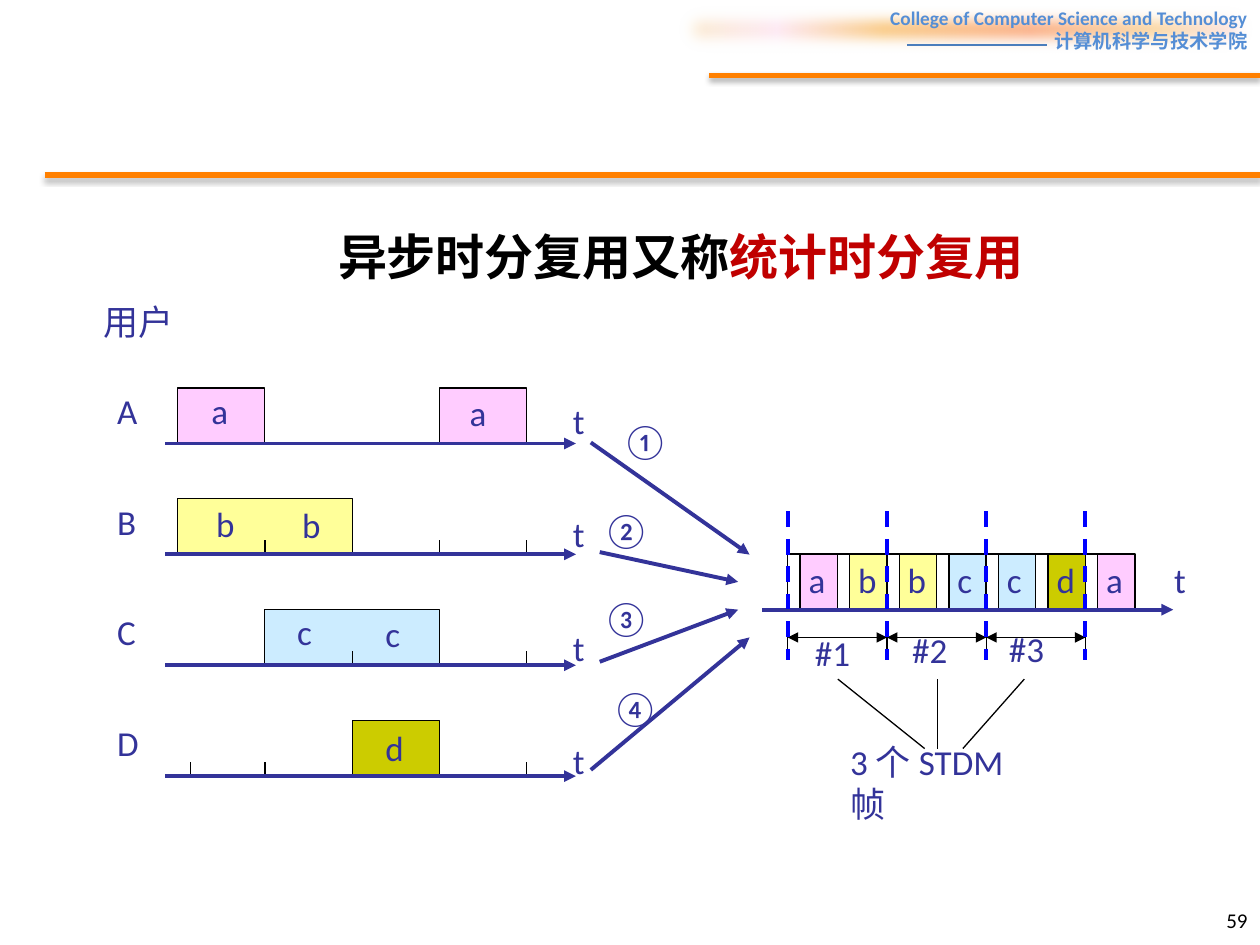
from lxml import etree
from pptx import Presentation
from pptx import util as u
from pptx.dml import color as c
from pptx.enum import dml, shapes, text
from pptx.oxml import ns, parse_xml

Cm, Pt = u.Cm, u.Pt
rgb = c.RGBColor.from_string
NAVY, BLACK, BLUE, ORANGE, SKY = "333399", "000000", "0000FF", "FF8000", "558ED5"
FILLS = {"a": "FFCCFF", "b": "FFFF99", "c": "CCECFF", "d": "CCCC00"}
LETTER_WIDTHS = {"a": 0.91, "b": 0.91, "c": 0.86, "d": 0.91}
XMLNS = 'xmlns:a="http://schemas.openxmlformats.org/drawingml/2006/main"'

deck = Presentation()
deck.slide_width, deck.slide_height = Cm(25.4), Cm(19.05)
page = deck.slides.add_slide(deck.slide_layouts[6])


def add_text(x, y, width, height, paragraphs, size=20, bold=None, font="Calibri",
             align=text.PP_ALIGN.LEFT, anchor=text.MSO_ANCHOR.TOP, wrap=False):
    """Each paragraph is a list of (words, colour) spans."""
    box = page.shapes.add_textbox(Cm(x), Cm(y), Cm(width), Cm(height))
    frame = box.text_frame
    for name, value in {"word_wrap": wrap, "vertical_anchor": anchor}.items():
        setattr(frame, name, value)
    for number, spans in enumerate(paragraphs):
        para = frame.add_paragraph() if number else frame.paragraphs[0]
        para.alignment = align
        for words, colour in spans:
            span = para.add_run()
            span.text = words
            for name, value in {"size": Pt(size), "bold": bold, "name": font}.items():
                setattr(span.font, name, value)
            span.font.color.rgb = rgb(colour)
            east = etree.SubElement(span.font._element, ns.qn("a:ea"))
            east.set("typeface", font)


def add_line(x1, y1, x2, y2, colour=BLACK, width=0.75, arrows=(), dash=None, shadow=""):
    """Arrows names the ends with a head: headEnd, tailEnd or both."""
    line = page.shapes.add_connector(
        shapes.MSO_CONNECTOR.STRAIGHT, Cm(x1), Cm(y1), Cm(x2), Cm(y2))
    line.line.color.rgb = rgb(colour)
    for name, value in {"width": Pt(width), "dash_style": dash}.items():
        setattr(line.line, name, value)
    for end in arrows:
        etree.SubElement(line.line._get_or_add_ln(), ns.qn("a:" + end)).set("type", "triangle")
    line._element.spPr.append(parse_xml(f"<a:effectLst {XMLNS}>{shadow}</a:effectLst>"))


# Title
add_text(2.9, 3.94, 21.64, 1.93,
         [[("异步时分复用又称", BLACK), ("统计时分复用", "C00000")]],
         size=28, bold=True, font="Noto Sans CJK SC", align=text.PP_ALIGN.CENTER,
         anchor=text.MSO_ANCHOR.BOTTOM, wrap=True)

# Grids: user slots on the left, output stream on the right
SLOT_X, SLOT, ROW_Y, ROW, TALL = 3.58, 1.76, 8.94, 2.235, 1.12
STREAM_X, STREAM_Y, STEP, HEADER = 15.88, 12.29, 1.0, 0.25
STREAM = "abbccda"

# Blocks as (left, base, width, fill), open at the base
blocks = []
for row, first, count, letter in ((0, 0, 1, "a"), (0, 3, 1, "a"), (1, 0, 2, "b"),
                                  (2, 1, 2, "c"), (3, 2, 1, "d")):
    blocks.append((SLOT_X + first * SLOT, ROW_Y + row * ROW, count * SLOT, FILLS[letter]))
for place, letter in enumerate(STREAM):
    left = STREAM_X + place * STEP
    blocks.append((left + HEADER, STREAM_Y, STEP - HEADER, FILLS[letter]))
    blocks.append((left, STREAM_Y, HEADER, None))
for left, base, width, fill in blocks:
    right, top = Cm(left + width), Cm(base - TALL)
    outline = page.shapes.build_freeform(Cm(left), Cm(base))
    outline.add_line_segments([(Cm(left), top), (right, top), (right, Cm(base))], close=False)
    block = outline.convert_to_shape()
    block.shadow.inherit = False
    if fill:
        block.fill.solid()
        block.fill.fore_color.rgb = rgb(fill)
    else:
        block.fill.background()
    block.line.color.rgb = rgb(BLACK)
    block.line.width = Pt(0.75)

# Ticks on the axes
ticks = [(SLOT_X + slot * SLOT, ROW_Y + row * ROW)
         for row, slot in ((1, 1), (1, 3), (1, 4), (2, 2), (2, 4), (3, 1), (3, 4))]
ticks += [(3.84, ROW_Y + 3 * ROW), (18.13, STREAM_Y), (18.88, STREAM_Y), (21.88, STREAM_Y)]
for x, base in ticks:
    add_line(x, base - 0.28, x, base)

# User names, time axes and their labels
add_text(1.83, 5.94, 1.93, 1.09, [[("用户", NAVY)]])
for row, user in enumerate("ABCD"):
    base = ROW_Y + row * ROW
    add_text(2.11, base - 1.22, 1.0, 1.09, [[(user, NAVY)]])
    add_text(11.3, 7.92 + row * 2.29, 0.71, 1.09, [[("t", NAVY)]])
    add_line(3.33, base, 11.61, base, NAVY, 2.25, ["tailEnd"])
add_text(23.42, 11.13, 0.71, 1.09, [[("t", NAVY)]])
add_line(15.37, STREAM_Y, 23.65, STREAM_Y, NAVY, 2.25, ["tailEnd"])

# Letters in the blocks
letters = [("a", 4.01, 7.72), ("a", 9.22, 7.77), ("b", 4.11, 10.01), ("b", 5.84, 10.03),
           ("c", 5.74, 12.19), ("c", 7.52, 12.22), ("d", 7.52, 14.53)]
letters += [(letter, 16.05 + place * STEP, 11.13) for place, letter in enumerate(STREAM)]
for letter, x, y in letters:
    add_text(x, y, LETTER_WIDTHS[letter], 1.09, [[(letter, NAVY)]])

# Numbered arrows into the multiplexed stream
for number, x, y, ends in (("①", 12.29, 8.33, (11.91, 8.92, 15.11, 11.18)),
                           ("②", 11.91, 10.13, (12.09, 11.13, 14.88, 11.73)),
                           ("③", 11.91, 11.91, (12.09, 13.34, 14.88, 12.29)),
                           ("④", 12.09, 13.72, (11.91, 15.52, 15.11, 12.85))):
    add_line(*ends, NAVY, 2.25, ["tailEnd"])
    add_text(x, y, 1.22, 1.09, [[(number, NAVY)]])

# Frame spans, labels and pointers
for name, x, y, pointer in (("#1", 16.18, 12.6, (16.89, 18.64)),
                            ("#2", 18.14, 12.55, (18.9, 18.9)),
                            ("#3", 20.09, 12.52, (20.65, 19.41))):
    left = STREAM_X + 2 * STEP * (int(name[1]) - 1)
    add_line(left, 12.85, left + 2 * STEP, 12.85, arrows=["headEnd", "tailEnd"])
    add_text(x, y, 1.3, 1.09, [[(name, NAVY)]])
    add_line(pointer[0], 13.69, pointer[1], 15.09)
add_text(16.89, 14.81, 4.3, 1.9, [[("3 个 STDM 帧", NAVY)]], wrap=True)

# Frame borders
for border in range(4):
    x = STREAM_X + 2 * STEP * border
    add_line(x, 12.57, x, 13.13)
    add_line(x, 10.31, x, 13.31, BLUE, 2.25, dash=dml.MSO_LINE.DASH)

# Header band with soft edges
band = page.shapes.add_shape(shapes.MSO_SHAPE.RECTANGLE, Cm(13.54), 0, Cm(11.86), Cm(1.19))
band.line.fill.background()
band.fill.gradient()
band.fill.gradient_angle = 0
stops = band.fill._fill._gradFill.gsLst
for stop in list(stops):
    stops.remove(stop)
for place, colour in ((0, "FBEAC7"), (18, "FEE7F2"), (36, "FAC77D"),
                      (61, "FBA97D"), (82, "FBD49C"), (100, "FEE7F2")):
    stops.append(parse_xml(
        f'<a:gs {XMLNS} pos="{place * 1000}"><a:srgbClr val="{colour}"/></a:gs>'))
band._element.spPr.append(parse_xml(
    f'<a:effectLst {XMLNS}><a:softEdge rad="127000"/></a:effectLst>'))
add_text(13.54, 0, 11.86, 1.19,
         [[("College of Computer Science and Technology", SKY)],
          [("计算机科学与技术学院", SKY)]],
         size=11, bold=True, align=text.PP_ALIGN.RIGHT, wrap=True)
add_line(18.29, 0.91, 21.11, 0.91, "4B7EBC")

# Orange rules with a shadow
SHADOW = ('<a:outerShdw blurRad="40000" dist="23000" dir="5400000" rotWithShape="0">'
          '<a:srgbClr val="000000"><a:alpha val="35000"/></a:srgbClr></a:outerShdw>')
for left, y in ((0.9, 3.53), (14.3, 1.52)):
    add_line(left, y, 25.4, y, ORANGE, 3, shadow=SHADOW)

# Page number
add_text(19.48, 18.03, 5.92, 1.02, [[("59", BLACK)]], size=12,
         align=text.PP_ALIGN.RIGHT, anchor=text.MSO_ANCHOR.MIDDLE, wrap=True)

deck.save("out.pptx")
